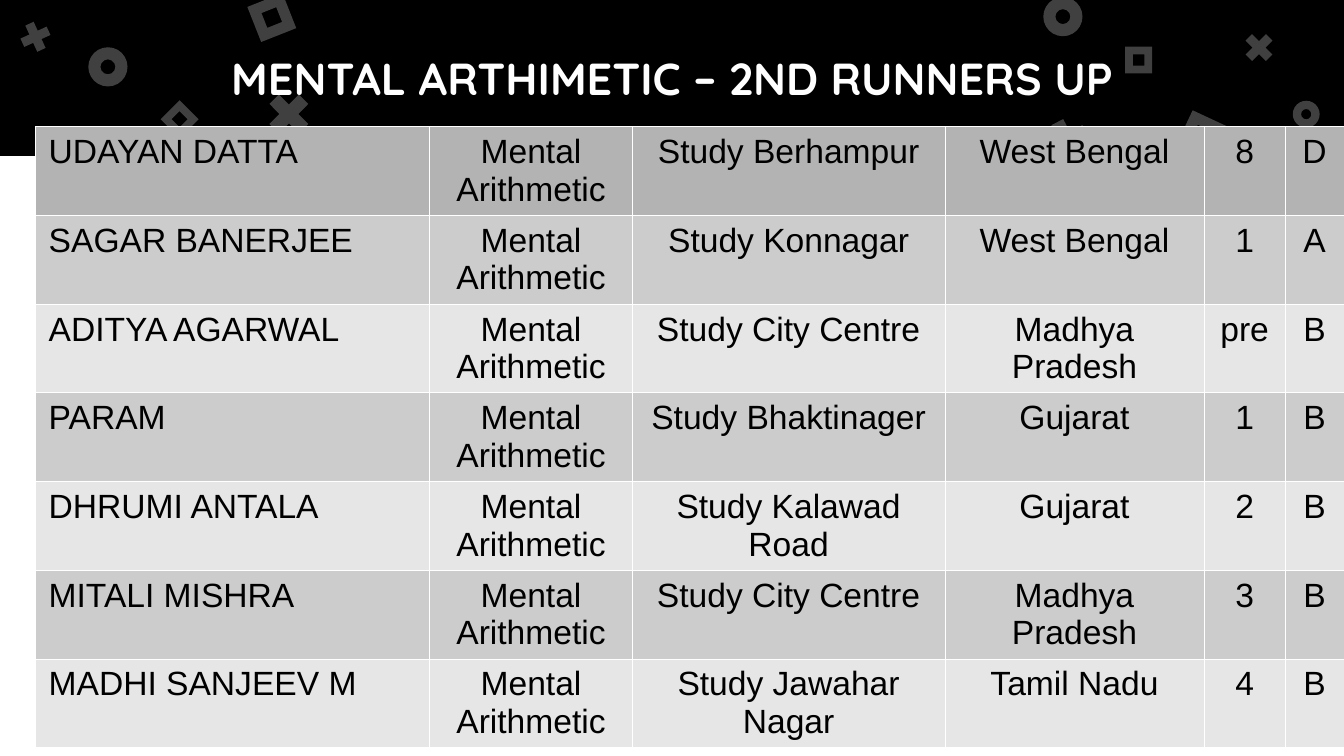
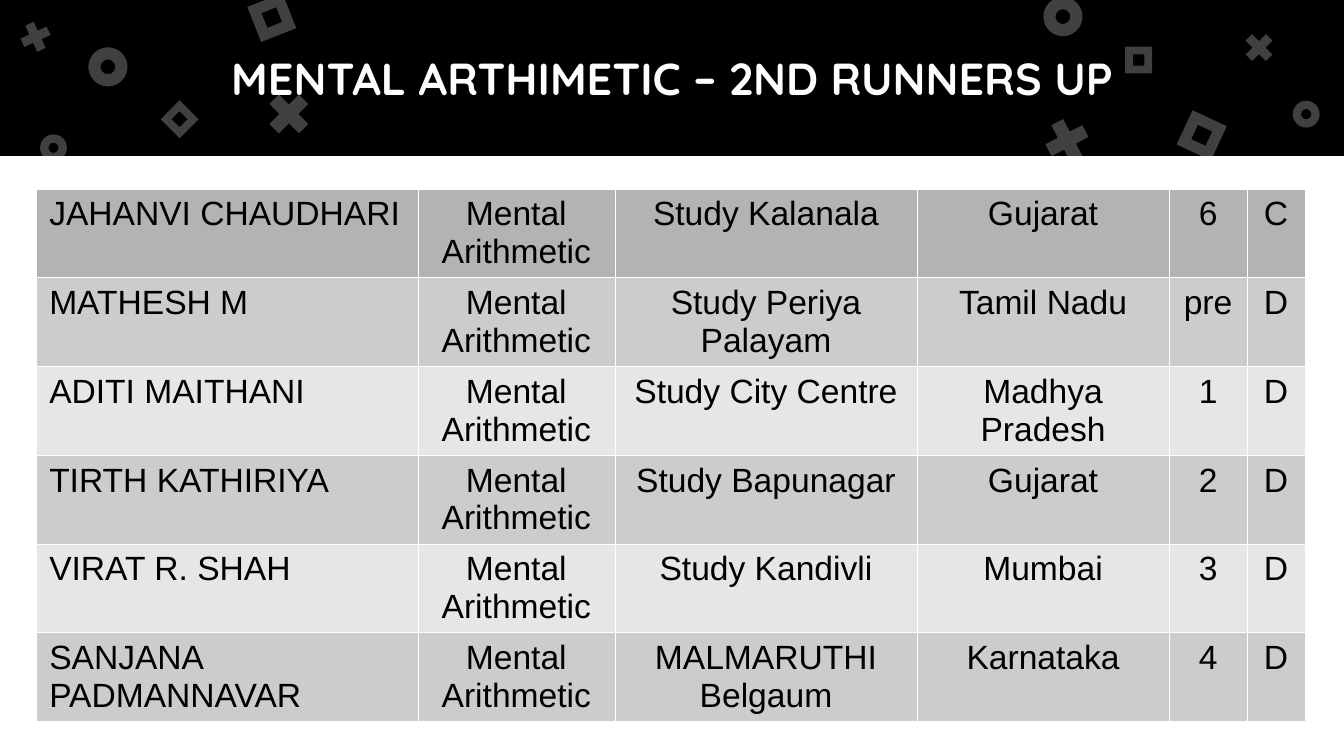
import pptx
import pptx.util
import pptx.dml.color
import pptx.enum.shapes
import pptx.enum.text
import pptx.oxml
import pptx.oxml.ns

Pt = pptx.util.Pt
Kind = pptx.enum.shapes.MSO_SHAPE
Align = pptx.enum.text.PP_ALIGN

# Content
TITLE = "MENTAL ARTHIMETIC – 2ND RUNNERS UP"
TOPIC = "Mental Arithmetic"

# Name, centre, state, class, group
FIRST = [
    ("UDAYAN DATTA", "Study Berhampur", "West Bengal", "8", "D"),
    ("SAGAR BANERJEE", "Study Konnagar", "West Bengal", "1", "A"),
    ("ADITYA AGARWAL", "Study City Centre", "Madhya Pradesh", "pre", "B"),
    ("PARAM", "Study Bhaktinager", "Gujarat", "1", "B"),
    ("DHRUMI ANTALA", "Study Kalawad Road", "Gujarat", "2", "B"),
    ("MITALI MISHRA", "Study City Centre", "Madhya Pradesh", "3", "B"),
    ("MADHI SANJEEV M", "Study Jawahar Nagar", "Tamil Nadu", "4", "B"),
]
SECOND = [
    ("JAHANVI CHAUDHARI", "Study Kalanala", "Gujarat", "6", "C"),
    ("MATHESH M", "Study Periya Palayam", "Tamil Nadu", "pre", "D"),
    ("ADITI MAITHANI", "Study City Centre", "Madhya Pradesh", "1", "D"),
    ("TIRTH KATHIRIYA", "Study Bapunagar", "Gujarat", "2", "D"),
    ("VIRAT R. SHAH", "Study Kandivli", "Mumbai", "3", "D"),
    ("SANJANA PADMANNAVAR", "MALMARUTHI Belgaum", "Karnataka", "4", "D"),
]
# Rows, then left, top and width of the table
PAGES = [(FIRST, 18.9, 67.7, 701.3), (SECOND, 19.2, 101.1, 679.7)]

# Shared look
COLORS = {
    "back": "7BD100", "band": "000000", "page": "FFFFFF", "light": "FFFFFF",
    "text": "000000", "head": "B3B3B3", "odd": "CCCCCC", "even": "E6E6E6",
}
WIDE, HIGH = 720, 405
BAND = 83.5
GAP = 0.2
COLS = (211, 108.7, 167, 139, 43.2, 31.7)
ROW = 47.5

# Kind: preset and thickness
KINDS = {
    "ring": (Kind.DONUT, 0.31),
    "cross": (Kind.MATH_MULTIPLY, 0.235),
    "frame": (Kind.FRAME, 0.289),
}
# Kind, left, top, size, turn
DECOR = [
    ("ring", 47.3, 25.3, 21, 0),
    ("cross", 139.6, 45.9, 30.4, 0),
    ("frame", 135.5, -0.7, 20.2, 338.4),
    ("ring", 558.9, -1.6, 21, 0),
    ("cross", 556.4, 60.2, 30.4, 17.5),
    ("frame", 633.7, 62.4, 20.2, 25),
    ("ring", 21.5, 72, 14.4, 0),
    ("cross", 8.5, 9.2, 21, 20.4),
    ("frame", 89, 56.7, 14.4, 45),
    ("ring", 692.6, 54, 14.4, 0),
    ("cross", 664, 15, 21, 0),
    ("frame", 602.8, 25, 14.4, 0),
]


def tint(name):
    return pptx.dml.color.RGBColor.from_string(COLORS[name])


def paint(fill, name):
    fill.solid()
    fill.fore_color.rgb = tint(name)


def style(par, font, size, name, bold, align):
    par.alignment = align
    for run in par.runs:
        run.font.name = font
        run.font.size = Pt(size)
        run.font.bold = bold
        run.font.color.rgb = tint(name)


def draw(slide, kind, box, name):
    shape = slide.shapes.add_shape(kind, *map(Pt, box))
    shape.shadow.inherit = False
    shape.line.fill.background()
    paint(shape.fill, name)
    return shape


def dress(slide):
    """Background, bands and faint ornaments."""
    paint(slide.background.fill, "back")
    draw(slide, Kind.RECTANGLE, (0, 0, WIDE, BAND), "band")
    top = BAND + GAP
    draw(slide, Kind.RECTANGLE, (0, top, WIDE, HIGH - top), "page")
    for key, left, top, size, turn in DECOR:
        kind, thick = KINDS[key]
        shape = draw(slide, kind, (left, top, size, size), "light")
        shape.adjustments[0] = thick
        shape.rotation = turn
        color = shape.fill._xPr.find(".//" + pptx.oxml.ns.qn("a:srgbClr"))
        alpha = pptx.oxml.parse_xml(
            f'<a:alpha {pptx.oxml.ns.nsdecls("a")} val="25000"/>')
        color.append(alpha)


def head(slide):
    """Title, brought in front of the band."""
    title = slide.shapes.title
    title.left, title.top = Pt(36), Pt(0)
    title.width, title.height = Pt(648), Pt(BAND)
    frame = title.text_frame
    frame.text = TITLE
    frame.word_wrap = True
    frame.auto_size = pptx.enum.text.MSO_AUTO_SIZE.NONE
    frame.vertical_anchor = pptx.enum.text.MSO_ANCHOR.MIDDLE
    frame.margin_left = frame.margin_right = Pt(7.2)
    frame.margin_top = frame.margin_bottom = Pt(7.2)
    style(frame.paragraphs[0], "Quicksand", 24, "light", True, Align.CENTER)
    slide.shapes._spTree.append(title._element)


def edge(cell):
    """Hairline on all four sides of a cell."""
    props = cell._tc.get_or_add_tcPr()
    for side in "LRTB":
        props.append(pptx.oxml.parse_xml(
            f'<a:ln{side} {pptx.oxml.ns.nsdecls("a")} w="762"><a:solidFill>'
            f'<a:srgbClr val="{COLORS["light"]}"/></a:solidFill></a:ln{side}>'))


def grid(slide, rows, left, top, width):
    """Table of winners."""
    box = (left, top, width, ROW * len(rows))
    table = slide.shapes.add_table(
        len(rows), len(COLS), *map(Pt, box)).table
    table.first_row = table.horz_banding = False
    for col, part in zip(table.columns, COLS):
        col.width = Pt(round(part * width / sum(COLS), 1))
    for r, (name, *rest) in enumerate(rows):
        table.rows[r].height = Pt(ROW)
        shade = "head" if r == 0 else "odd" if r % 2 else "even"
        for c, text in enumerate((name, TOPIC, *rest)):
            cell = table.cell(r, c)
            cell.text_frame.text = text
            align = Align.CENTER if c else Align.LEFT
            style(cell.text_frame.paragraphs[0], "Arial", 18, "text",
                  False, align)
            edge(cell)
            paint(cell.fill, shade)


def main():
    deck = pptx.Presentation()
    deck.slide_width, deck.slide_height = Pt(WIDE), Pt(HIGH)
    for page in PAGES:
        slide = deck.slides.add_slide(deck.slide_layouts[5])
        dress(slide)
        head(slide)
        grid(slide, *page)
    deck.save("out.pptx")


if __name__ == "__main__":
    main()
